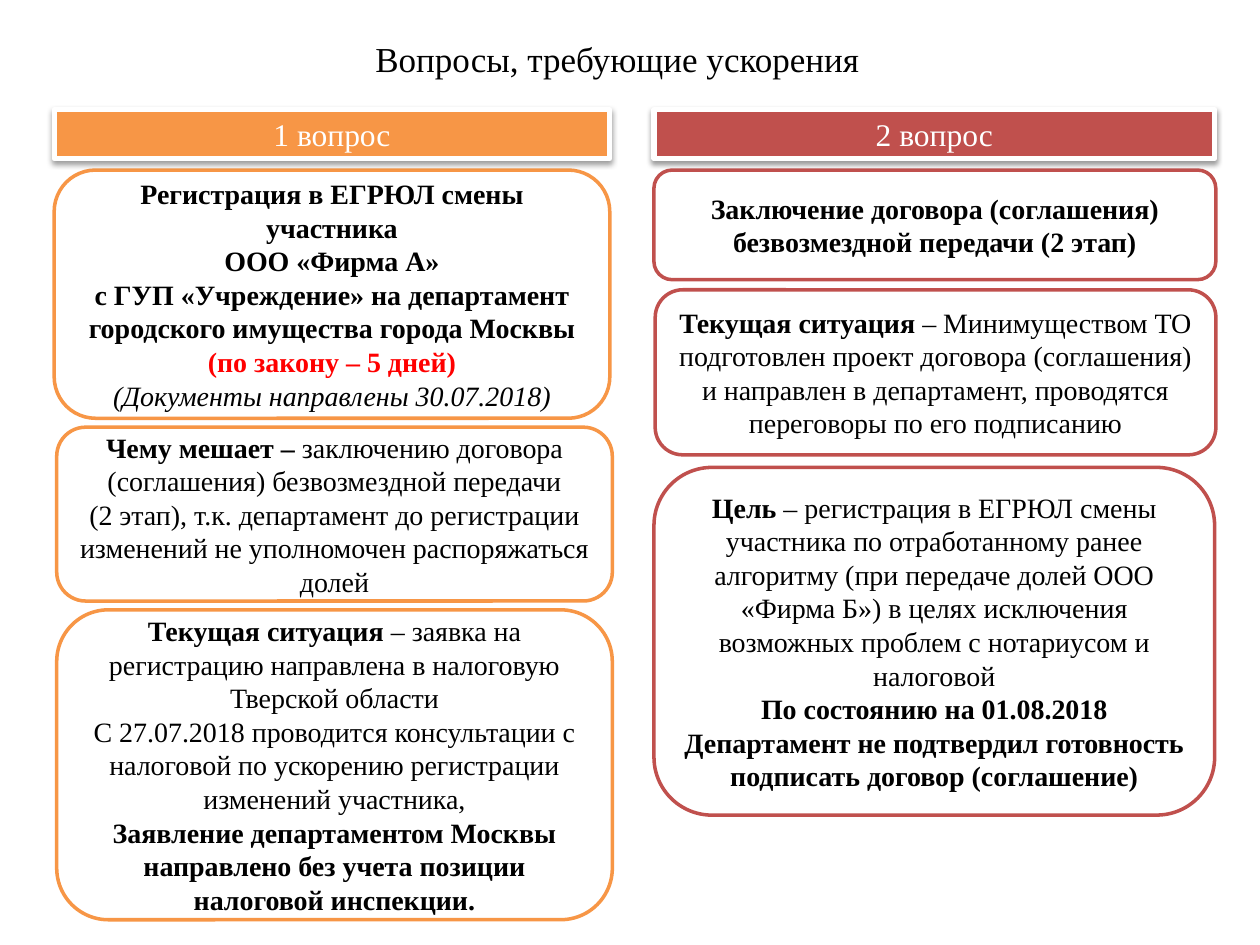
"""Build a slide on two questions that need to be sped up."""
from lxml import etree
from pptx import Presentation
from pptx.dml.color import RGBColor
from pptx.enum.shapes import MSO_SHAPE
from pptx.enum.text import MSO_ANCHOR, PP_ALIGN
from pptx.oxml.ns import qn
from pptx.util import Inches, Pt

RECT = MSO_SHAPE.RECTANGLE
ROUND = MSO_SHAPE.ROUNDED_RECTANGLE
MIDDLE = MSO_ANCHOR.MIDDLE
CENTER = PP_ALIGN.CENTER
WHITE = RGBColor(0xFF, 0xFF, 0xFF)
BLACK = RGBColor(0, 0, 0)
RED = RGBColor(0xFF, 0, 0)
ORANGE = RGBColor(0xF7, 0x96, 0x46)
BRICK = RGBColor(0xC0, 0x50, 0x4D)
FONT = "Times New Roman"

HEADS = [
    ("1 вопрос", 0.43, 4.41, ORANGE),
    ("2 вопрос", 5.19, 4.45, BRICK),
]
CARDS = [
    (0.43, 1.35, 4.41, 1.97, ORANGE, [
        [("Регистрация в ЕГРЮЛ смены участника", "bold")],
        [("ООО «Фирма А»", "bold")],
        [("с ГУП «Учреждение» на департамент городского имущества города Москвы", "bold")],
        [("(по закону – 5 дней)", "alert")],
        [("(Документы направлены 30.07.2018)", "italic")],
    ]),
    (0.45, 3.39, 4.41, 1.38, ORANGE, [
        [("Чему мешает – ", "bold"),
         ("заключению договора (соглашения) безвозмездной передачи\v(2 этап), т.к. департамент "
          "до регистрации изменений не уполномочен распоряжаться долей", "plain")],
    ]),
    (0.45, 4.84, 4.41, 2.46, ORANGE, [
        [("Текущая ситуация ", "bold"),
         ("– заявка на регистрацию направлена в налоговую Тверской области", "plain")],
        [("С 27.07.2018 проводится консультации с налоговой по ускорению регистрации "
          "изменений участника,", "plain")],
        [("Заявление департаментом Москвы направлено без учета позиции налоговой "
          "инспекции.", "bold")],
    ]),
    (5.19, 1.35, 4.46, 0.87, BRICK, [
        [("Заключение договора (соглашения) безвозмездной передачи (2 этап)", "bold")],
    ]),
    (5.2, 2.3, 4.45, 1.31, BRICK, [
        [("Текущая ситуация ", "bold"),
         ("– Минимуществом ТО подготовлен проект договора (соглашения) и направлен "
          "в департамент, проводятся переговоры по его подписанию", "plain")],
    ]),
    (5.19, 3.71, 4.45, 2.76, BRICK, [
        [("Цель", "bold"),
         (" – регистрация в ЕГРЮЛ смены участника по отработанному ранее алгоритму "
          "(при передаче долей ООО «Фирма Б») в целях исключения возможных проблем "
          "с нотариусом и налоговой", "plain")],
        [("По состоянию на 01.08.2018 Департамент не подтвердил готовность подписать "
          "договор (соглашение)", "bold")],
    ]),
]


def add_box(kind, place, fill, edge, width):
    box = slide.shapes.add_shape(kind, *map(Inches, place))
    box.shadow.inherit = False
    box.fill.solid()
    box.fill.fore_color.rgb = fill
    box.line.color.rgb = edge
    box.line.width = Pt(width)
    return box


def write(box, paras, size, color):
    frame = box.text_frame
    frame.word_wrap = True
    frame.vertical_anchor = MIDDLE
    for i, parts in enumerate(paras):
        para = frame.add_paragraph() if i else frame.paragraphs[0]
        para.alignment = CENTER
        para.font.name = FONT
        para.font.size = Pt(size)
        for text, style in parts:
            for j, line in enumerate(text.split("\v")):
                if j:
                    para.add_line_break()
                run = para.add_run()
                run.text = line
                run.font.name = FONT
                run.font.size = Pt(size)
                run.font.bold = style in ("bold", "alert")
                run.font.italic = style == "italic"
                run.font.color.rgb = RED if style == "alert" else color


prs = Presentation()
prs.slide_width = Inches(10)
prs.slide_height = Inches(7.5)
slide = prs.slides.add_slide(prs.slide_layouts[5])

title = slide.shapes.title
title.left, title.top = Inches(0.45), Inches(0.06)
title.width, title.height = Inches(8.9), Inches(0.81)
title.fill.solid()
title.fill.fore_color.rgb = WHITE
write(title, [[("Вопросы, требующие ускорения", "plain")]], 20, BLACK)

for left, top, width, height, color, paras in CARDS:
    card = add_box(ROUND, (left, top, width, height), WHITE, color, 2)
    write(card, paras, 16, BLACK)

for text, left, width, color in HEADS:
    head = add_box(RECT, (left, 0.87, width, 0.39), color, WHITE, 3)
    write(head, [[(text, "plain")]], 18, WHITE)
    effect = head._element.spPr.find(qn("a:effectLst"))
    shade = etree.SubElement(effect, qn("a:outerShdw"), blurRad=str(Pt(3.1)),
                             dist=str(Pt(1.6)), dir="5400000", rotWithShape="0")
    tint = etree.SubElement(shade, qn("a:srgbClr"), val="000000")
    etree.SubElement(tint, qn("a:alpha"), val="38000")

prs.save("out.pptx")
